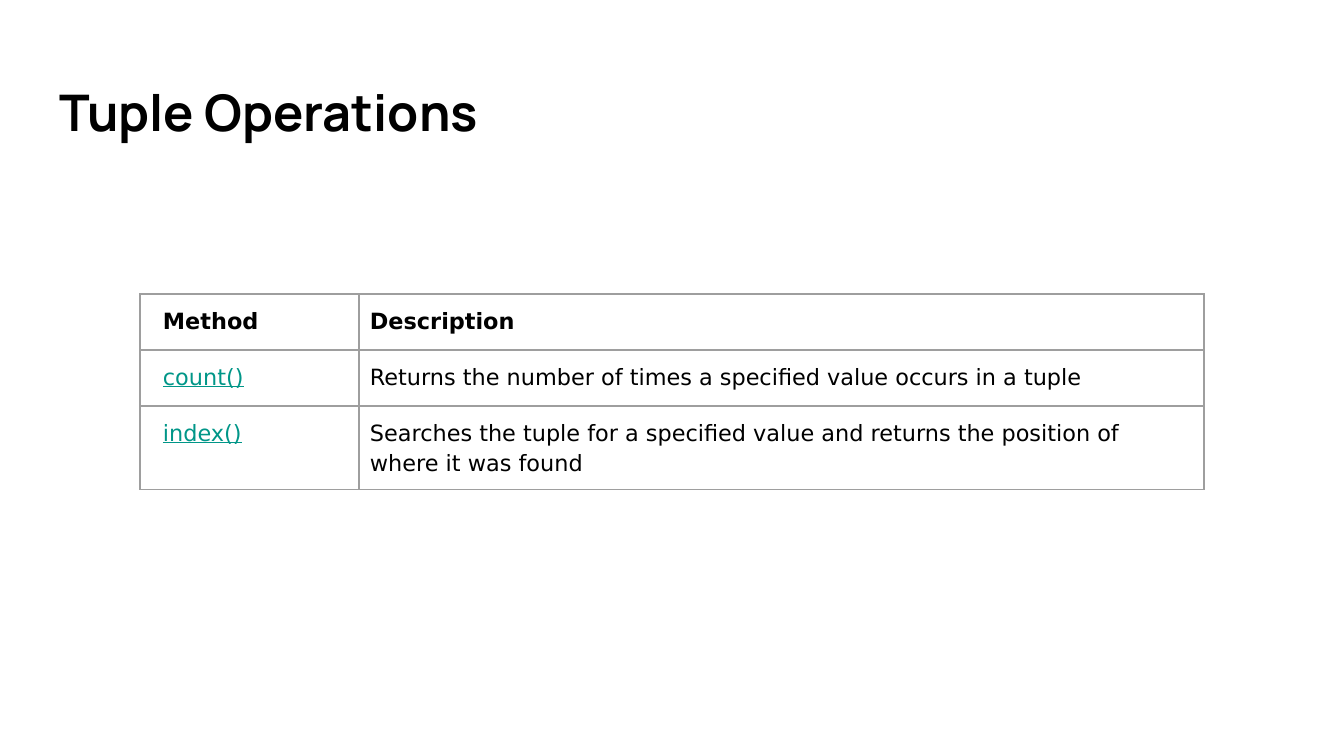
import dataclasses

import lxml.etree
import pptx
import pptx.dml.color
import pptx.enum.text
import pptx.oxml.ns
import pptx.util

EMU_PER_PX = 914400 / 134.4
BLACK = pptx.dml.color.RGBColor(0x00, 0x00, 0x00)
WHITE = pptx.dml.color.RGBColor(0xFF, 0xFF, 0xFF)
TEAL = pptx.dml.color.RGBColor(0x00, 0x96, 0x88)
GREY = pptx.dml.color.RGBColor(0x9E, 0x9E, 0x9E)

TITLE_FONT = {"name": "Manrope", "size": pptx.util.Pt(27), "bold": True}
TABLE_FONT = {"name": "DejaVu Sans", "size": pptx.util.Pt(12)}
CELL_SPACING = {
    "line_spacing": 1.15,
    "space_before": pptx.util.Pt(15),
    "space_after": pptx.util.Pt(15),
}
COLUMN_WIDTHS = (219, 845)
COLUMN_INSETS = (23, 11)
CELL_INSET = 11


@dataclasses.dataclass(frozen=True)
class MethodRow:
    method: str
    description: str
    height: int = 56
    header: bool = False


ROWS = (
    MethodRow("Method", "Description", header=True),
    MethodRow("count()", "Returns the number of times a specified value occurs in a tuple"),
    MethodRow(
        "index()",
        "Searches the tuple for a specified value and returns the position of where it was found",
        height=83,
    ),
)


def px(length: int) -> pptx.util.Emu:
    return pptx.util.Emu(round(length * EMU_PER_PX))


def apply_format(target, values: dict) -> None:
    for name, value in values.items():
        setattr(target, name, value)


def write_text(para, text: str, font: dict, color: pptx.dml.color.RGBColor) -> None:
    span = para.add_run()
    span.text = text
    apply_format(span.font, font)
    span.font.color.rgb = color


def draw_borders(cell) -> None:
    """Line all four sides; the lines must precede the fill in the cell's XML."""
    properties = cell._tc.get_or_add_tcPr()
    qn = pptx.oxml.ns.qn
    for position, side in enumerate(("lnL", "lnR", "lnT", "lnB")):
        line = lxml.etree.Element(qn(f"a:{side}"), w=str(pptx.util.Pt(0.75)))
        fill = lxml.etree.SubElement(line, qn("a:solidFill"))
        lxml.etree.SubElement(fill, qn("a:srgbClr"), val=str(GREY))
        properties.insert(position, line)


def draw_title(page, text: str) -> None:
    box = page.shapes.add_textbox(px(46), px(66), px(1253), px(91))
    frame = box.text_frame
    inset = pptx.util.Inches(0.1)
    apply_format(frame, {
        "word_wrap": True,
        "vertical_anchor": pptx.enum.text.MSO_ANCHOR.MIDDLE,
        "margin_left": inset,
        "margin_right": inset,
        "margin_top": inset,
        "margin_bottom": inset,
    })
    write_text(frame.paragraphs[0], text, TITLE_FONT, BLACK)


def draw_cell(cell, text: str, left_inset: int, header: bool, link: bool) -> None:
    apply_format(cell, {
        "margin_left": px(left_inset),
        "margin_right": px(CELL_INSET),
        "margin_top": px(CELL_INSET),
        "margin_bottom": px(CELL_INSET),
    })
    cell.fill.solid()
    cell.fill.fore_color.rgb = WHITE
    draw_borders(cell)
    para = cell.text_frame.paragraphs[0]
    apply_format(para, CELL_SPACING)
    font = TABLE_FONT | {"bold": header, "underline": link}
    write_text(para, text, font, TEAL if link else BLACK)


def draw_method_table(page, rows: tuple[MethodRow, ...]) -> None:
    width = sum(COLUMN_WIDTHS)
    height = sum(row.height for row in rows)
    table = page.shapes.add_table(
        len(rows), len(COLUMN_WIDTHS), px(140), px(294), px(width), px(height)
    ).table
    for column, column_width in zip(table.columns, COLUMN_WIDTHS):
        column.width = px(column_width)
    for row_index, row in enumerate(rows):
        table.rows[row_index].height = px(row.height)
        for column_index, text in enumerate((row.method, row.description)):
            draw_cell(
                table.cell(row_index, column_index),
                text,
                COLUMN_INSETS[column_index],
                header=row.header,
                link=column_index == 0 and not row.header,
            )


def main() -> None:
    deck = pptx.Presentation()
    deck.slide_width, deck.slide_height = px(1344), px(756)
    page = deck.slides.add_slide(deck.slide_layouts[6])
    draw_title(page, "Tuple Operations")
    draw_method_table(page, ROWS)
    deck.save("out.pptx")


if __name__ == "__main__":
    main()
